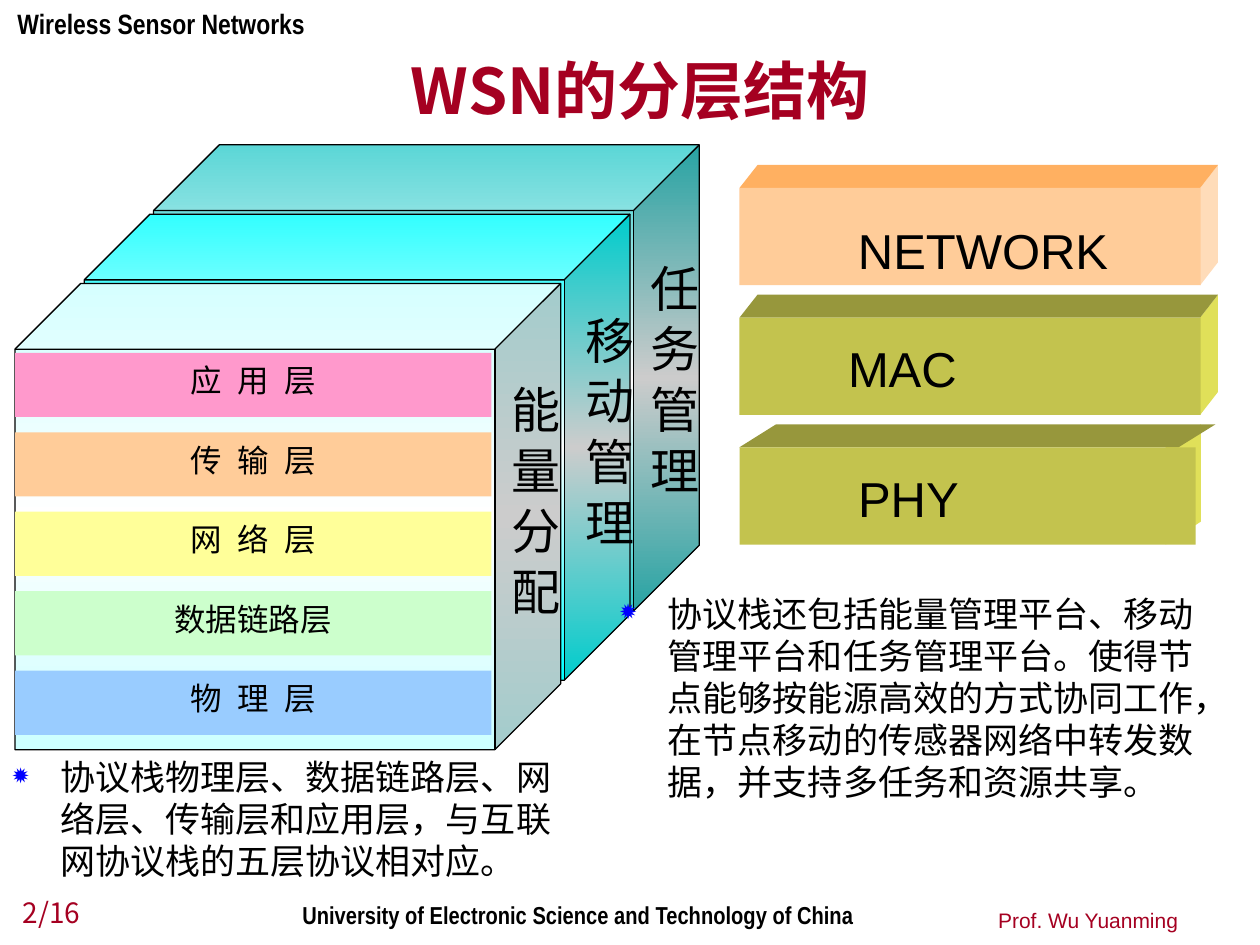
from lxml.etree import SubElement
from pptx import Presentation
from pptx.dml.color import RGBColor
from pptx.enum.shapes import MSO_SHAPE
from pptx.enum.text import MSO_ANCHOR, PP_ALIGN
from pptx.oxml import parse_xml
from pptx.oxml.ns import nsdecls, qn
from pptx.util import Pt

CJK = "Noto Sans CJK JP"
COLORS = {
    "black": "000000", "crimson": "A50021", "bullet": "0000FF", "white": "FFFFFF",
    "pink": "FF99CC", "orange": "FFCC99", "yellow": "FFFF99", "green": "CCFFCC",
    "blue": "99CCFF", "teal": "33CCCC", "cyan": "00FFFF", "ice": "CCFFFF",
    "olive": "C3C34E", "olive dark": "97973C", "olive light": "E0E059",
    "orange dark": "FFB061", "orange light": "FFDCB9",
}
LAYERS = [("应 用 层", "pink"), ("传 输 层", "orange"), ("网 络 层", "yellow"),
          ("数据链路层", "green"), ("物 理 层", "blue")]
PLANES = ["teal", "cyan", "ice"]
# text, box left, box top, first-line indent
PLANE_LABELS = [("能 量 分 配", 277.2, 213.1, 0), ("移 动 管 理", 319.7, 173.5, 0),
                ("任 务 管 理", 357.1, 128.2, 15.6)]
# front width, side left, side right, top depth, top right, label left and offset from front
STACK = [
    {"label": "NETWORK", "color": "orange", "front": 263.5, "side": (685.8, 696),
     "roof": (432.9, 696, 685.8), "text": (490.3, 18.4, 150)},
    {"label": "MAC", "color": "olive", "front": 263.5, "side": (685.8, 696),
     "roof": (432.9, 696, 685.8), "text": (484.6, 12.2, 84.2)},
    {"label": "PHY", "color": "olive", "front": 260.6, "side": (666, 686.2),
     "roof": (443.5, 694.6, 673.5), "text": (490.3, 12.2, 68.4)},
]
NOTES = [
    ("协议栈还包括能量管理平台、移动管理平台和任务管理平台。使得节点能够按能源高效的方式协同工作，"
     "在节点移动的传感器网络中转发数据，并支持多任务和资源共享。",
     (354.2, 337.7, 345.6, 175.7), (0, 0.7, 0, 0.7)),
    ("协议栈物理层、数据链路层、网络层、传输层和应用层，与互联网协议栈的五层协议相对应。",
     (0, 428.4, 326.2, 79.9), (7.2, 3.6, 7.2, 3.6)),
]


def rgb(name):
    return RGBColor.from_string(COLORS[name])


def paint(shape, color):
    shape.shadow.inherit = False
    shape.fill.solid()
    shape.fill.fore_color.rgb = rgb(color)
    shape.line.fill.background()


def write(shape, text, size=18, font="Arial", color="black", bold=False,
          align=PP_ALIGN.LEFT, anchor=MSO_ANCHOR.TOP, insets=(7.2, 3.6, 7.2, 3.6),
          wrap=True, line=None, indent=0, tracking=0, bullet=None, vertical=False):
    """Fill a shape with one formatted paragraph."""
    frame = shape.text_frame
    frame.word_wrap = wrap
    frame.vertical_anchor = anchor
    (frame.margin_left, frame.margin_top,
     frame.margin_right, frame.margin_bottom) = map(Pt, insets)
    if vertical:
        frame._txBody.bodyPr.set("vert", "eaVert")
    paragraph = frame.paragraphs[0]
    paragraph.alignment = align
    if line:
        paragraph.line_spacing = Pt(line)
    properties = paragraph._p.get_or_add_pPr()
    if bullet:
        properties.set("marL", str(Pt(27.4)))
        indent = -27.4
        bullet_color = SubElement(properties, qn("a:buClr"))
        SubElement(bullet_color, qn("a:srgbClr"), val=COLORS["bullet"])
        SubElement(properties, qn("a:buSzPct"), val="80000")
        SubElement(properties, qn("a:buChar"), char=bullet)
    if indent:
        properties.set("indent", str(Pt(indent)))
    run = paragraph.add_run()
    run.text = text
    run.font.size = Pt(size)
    run.font.bold = bold
    run.font.name = font
    run.font.color.rgb = rgb(color)
    SubElement(run._r.rPr, qn("a:ea"), typeface=CJK)
    if tracking:
        run._r.rPr.set("spc", str(round(tracking * 100)))


def add_text(shapes, box, text, **style):
    write(shapes.add_textbox(*map(Pt, box)), text, **style)


def add_face(shapes, points, color):
    start, *others = [(Pt(x), Pt(y)) for x, y in points]
    builder = shapes.build_freeform(*start, scale=1.0)
    builder.add_line_segments(others, close=True)
    paint(builder.convert_to_shape(), color)


def add_block(slide, block, top):
    """Draw one block of the stack as side, roof and front faces."""
    left, depth, height, color = 422.6, 13.1, 55.6, block["color"]
    front_top = top + depth
    shapes = slide.shapes.add_group_shape().shapes
    near, far = block["side"]
    add_face(shapes, [(near, front_top + height), (near, front_top),
                      (far, top), (far, top + height)], color + " light")
    back_left, back_right, front_right = block["roof"]
    add_face(shapes, [(front_right, front_top), (left, front_top),
                      (back_left, top), (back_right, top)], color + " dark")
    front = shapes.add_shape(MSO_SHAPE.RECTANGLE, Pt(left), Pt(front_top),
                             Pt(block["front"]), Pt(height))
    paint(front, color)
    text_left, offset, width = block["text"]
    add_text(shapes, (text_left, front_top + offset, width, 33.8), block["label"],
             size=28, insets=(0, 0, 0, 0))


def add_plane(slide, left, top, color):
    cube = slide.shapes.add_shape(MSO_SHAPE.CUBE, Pt(left), Pt(top), Pt(311.8), Pt(266.4))
    cube.adjustments[0] = 0.141
    paint(cube, color)
    cube.line.color.rgb = rgb("black")
    cube.line.width = Pt(0.75)
    stops = "".join(
        f'<a:gs pos="{position}"><a:srgbClr val="{COLORS[name]}"/></a:gs>'
        for position, name in [(0, color), (50000, "white"), (100000, color)])
    gradient = parse_xml(f'<a:gradFill {nsdecls("a")} rotWithShape="1"><a:gsLst>{stops}</a:gsLst>'
                         '<a:lin ang="5400000" scaled="1"/></a:gradFill>')
    solid = cube._element.spPr.find(qn("a:solidFill"))
    solid.getparent().replace(solid, gradient)


def main():
    presentation = Presentation()
    presentation.slide_width, presentation.slide_height = Pt(720), Pt(540)
    slide = presentation.slides.add_slide(presentation.slide_layouts[6])
    shapes = slide.shapes

    add_text(shapes, (172.8, 514.1, 329, 16.6),
             "University of Electronic Science and Technology of China",
             size=14, font="Arial Narrow", bold=True, insets=(0, 0, 0, 0))
    add_text(shapes, (2.9, 0, 178.6, 26.6), "Wireless Sensor Networks",
             size=16, font="Arial Narrow", bold=True, wrap=False)
    add_text(shapes, (59.8, 30.2, 612, 41.8), "WSN的分层结构", size=36, font=CJK,
             color="crimson", bold=True, align=PP_ALIGN.CENTER, anchor=MSO_ANCHOR.MIDDLE)

    for index, block in enumerate(STACK):
        add_block(slide, block, 94.3 + 74.1 * index)
    for index, color in enumerate(PLANES):
        add_plane(slide, 87.8 - 39.6 * index, 82.8 + 39.6 * index, color)
    for index, (label, color) in enumerate(LAYERS):
        layer = shapes.add_shape(MSO_SHAPE.RECTANGLE, Pt(8.6), Pt(201.6 + 45.4 * index),
                                 Pt(272.2), Pt(36.7))
        paint(layer, color)
        write(layer, label, align=PP_ALIGN.CENTER, line=23,
              tracking=2.5 if " " in label else 0)
    for label, left, top, indent in PLANE_LABELS:
        add_text(shapes, (left, top, 48.2, 169.9), label, size=28, indent=indent, vertical=True)

    for text, box, insets in NOTES:
        add_text(shapes, box, text, size=20, font=CJK, line=24, insets=insets, bullet="✹")
    add_text(shapes, (5.8, 506.2, 72.7, 28.1), "2/16", size=16, font=CJK,
             color="crimson", anchor=MSO_ANCHOR.BOTTOM)
    add_text(shapes, (553, 510.5, 127.4, 25.9), "Prof. Wu Yuanming", size=12,
             color="crimson", align=PP_ALIGN.RIGHT, anchor=MSO_ANCHOR.BOTTOM)
    presentation.save("out.pptx")


if __name__ == "__main__":
    main()
